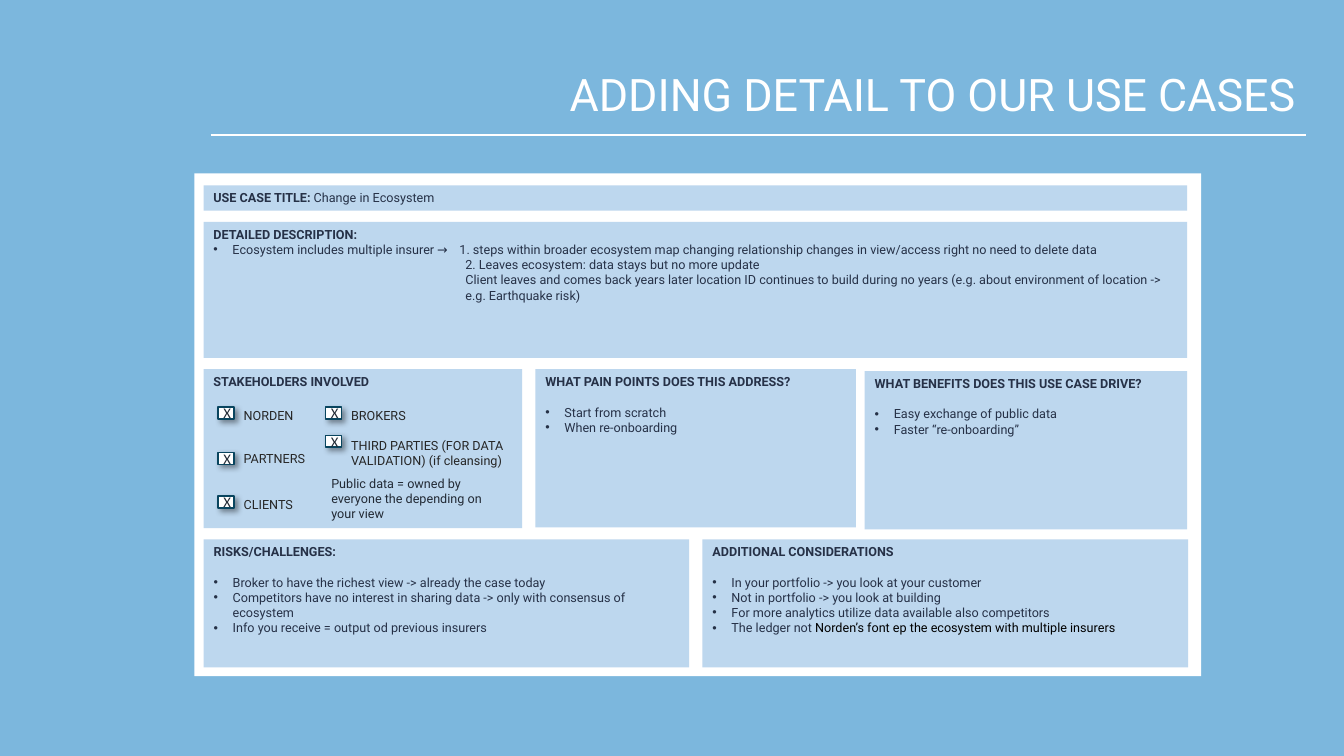
from dataclasses import dataclass

from lxml.etree import SubElement
from pptx import Presentation
from pptx.dml.color import RGBColor
from pptx.enum.shapes import MSO_CONNECTOR as Connector, MSO_SHAPE as Shape
from pptx.enum.text import MSO_ANCHOR as Anchor, MSO_AUTO_SIZE as AutoSize, PP_ALIGN as Align
from pptx.oxml.ns import qn
from pptx.util import Cm, Pt

# Content: each panel is (left, top, width, height) in cm, then its text
TITLE = "ADDING DETAIL TO OUR USE CASES"
CARD = (4.9, 4.37, 25.37, 12.67)
USE_CASE = ((5.13, 4.67, 24.79, 0.64), "USE CASE TITLE: ", "Change in Ecosystem")
DESCRIPTION = (
    (5.13, 5.59, 24.79, 3.43),
    "DETAILED DESCRIPTION:",
    "Ecosystem includes multiple insurer →\t1. steps within broader ecosystem map changing "
    "relationship changes in view/access right no need to delete data",
    ["2. Leaves ecosystem: data stays but no more update",
     "Client leaves and comes back years later location ID continues to build during no years "
     "(e.g. about environment of location -> e.g. Earthquake risk)"],
)
STAKEHOLDERS = ((5.13, 9.3, 8.03, 4.01), "STAKEHOLDERS INVOLVED")
LIST_PANELS = [
    ((13.49, 9.3, 8.08, 3.99), "WHAT PAIN POINTS DOES THIS ADDRESS?",
     ["Start from scratch", "When re-onboarding"]),
    ((21.79, 9.35, 8.13, 3.99), "WHAT BENEFITS DOES THIS USE CASE DRIVE?",
     ["Easy exchange of public data", "Faster “re-onboarding”"]),
    ((5.13, 13.59, 12.24, 3.23), "RISKS/CHALLENGES:",
     ["Broker to have the richest view -> already the case today",
      "Competitors have no interest in sharing data -> only with consensus of ecosystem",
      "Info you receive = output od previous insurers"]),
    ((17.7, 13.59, 12.24, 3.23), "ADDITIONAL CONSIDERATIONS",
     ["In your portfolio -> you look at your customer",
      "Not in portfolio -> you look at building",
      "For more analytics utilize data available also competitors",
      ("The ledger not ", "Norden’s font ep the ecosystem with multiple insurers")]),
]
# Label, checkbox left and top, label top, label width
CHECKS = [
    ("NORDEN", 5.49, 10.26, 10.16, 3.99),
    ("PARTNERS", 5.49, 11.4, 11.23, 3.99),
    ("CLIENTS", 5.49, 12.5, 12.4, 3.99),
    ("BROKERS", 8.2, 10.26, 10.16, 3.99),
    ("THIRD PARTIES (FOR DATA VALIDATION) (if cleansing)", 8.2, 10.97, 10.9, 4.8),
]
NOTE = ((8.1, 11.86, 4.95, 1.42), "Public data = owned by everyone the depending on your view")


@dataclass(frozen=True)
class Theme:
    sky: str = "7CB7DD"
    panel: str = "BDD7EE"
    white: str = "FFFFFF"
    black: str = "000000"
    ink: str = "263147"
    label: str = "262626"
    slate: str = "222A35"
    check: str = "09455F"
    font: str = "Roboto"
    mark_font: str = "Calibri"
    title_size: float = 32
    size: float = 9
    mark_size: float = 10.5
    heading_gap: float = 10.8


theme = Theme()
INDENT = 0.48


def rgb(value):
    return RGBColor.from_string(value)


def add_para(frame, *texts, colors=(theme.ink,), bolds=(False,), size=theme.size,
             font=theme.font, align=Align.LEFT, left=0, bullet=False, tab=None, after=0):
    """Write one paragraph; a format listed once holds for every text."""
    para = frame.add_paragraph() if frame.text else frame.paragraphs[0]
    para.alignment = align
    para.space_before, para.space_after = Pt(0), Pt(after)
    props = para._p.get_or_add_pPr()
    props.set("marL", str(Cm(left)))
    props.set("indent", str(-Cm(left) if bullet else 0))
    if bullet:
        SubElement(props, qn("a:buFont"), typeface="Arial")
        SubElement(props, qn("a:buChar"), char="•")
    else:
        SubElement(props, qn("a:buNone"))
    if tab:
        stops = SubElement(props, qn("a:tabLst"))
        SubElement(stops, qn("a:tab"), pos=str(Cm(tab)), algn="l")
    for number, text in enumerate(texts):
        span = para.add_run()
        span.text = text
        span.font.name, span.font.size = font, Pt(size)
        span.font.bold = bolds[number % len(bolds)]
        span.font.color.rgb = rgb(colors[number % len(colors)])


def place(shape, box):
    shape.left, shape.top, shape.width, shape.height = (Cm(length) for length in box)


def fill(shape, color):
    shape.fill.solid()
    shape.fill.fore_color.rgb = rgb(color)


def prepare(frame, anchor=Anchor.TOP):
    frame.word_wrap, frame.auto_size, frame.vertical_anchor = True, AutoSize.NONE, anchor
    return frame


def add_rect(slide, box, color, line=None):
    shape = slide.shapes.add_shape(Shape.RECTANGLE, *(Cm(length) for length in box))
    fill(shape, color)
    if line:
        shape.line.color.rgb, shape.line.width = rgb(line), Pt(1)
    else:
        shape.line.fill.background()
    shape.shadow.inherit = False
    return shape


def add_label(slide, box, text, **style):
    label = slide.shapes.add_textbox(*(Cm(length) for length in box))
    add_para(prepare(label.text_frame), text, **style)


def add_check(slide, text, left, top, label_top, label_width):
    """Draw a ticked box with a soft shadow and its label."""
    box = add_rect(slide, (left, top, 0.41, 0.3), theme.white, theme.check)
    effects = box._element.spPr.find(qn("a:effectLst"))
    shadow = SubElement(effects, qn("a:outerShdw"), blurRad=str(Pt(4)), dist=str(Pt(3)),
                        dir=str(45 * 60000), algn="tl", rotWithShape="0")
    color = SubElement(shadow, qn("a:srgbClr"), val=theme.black)
    SubElement(color, qn("a:alpha"), val="40000")
    add_label(slide, (left + 0.4, label_top, label_width, 0.64), text, colors=(theme.label,))
    add_label(slide, (left - 0.21, top - 0.2, 0.89, 0.71), "X", colors=(theme.slate,),
              size=theme.mark_size, font=theme.mark_font, align=Align.CENTER)


def main():
    deck = Presentation()
    deck.slide_width, deck.slide_height = Cm(33.87), Cm(19.05)
    page = deck.slides.add_slide(deck.slide_layouts.get_by_name("Comparison"))
    page.background.fill.solid()
    page.background.fill.fore_color.rgb = rgb(theme.sky)

    # Title and rule
    title = page.shapes.title
    place(title, (4.65, 1.55, 28.27, 1.63))
    add_para(prepare(title.text_frame, Anchor.MIDDLE), TITLE, colors=(theme.white,),
             size=theme.title_size, align=Align.RIGHT)
    rule = page.shapes.add_connector(Connector.STRAIGHT, Cm(5.31), Cm(3.4), Cm(32.92), Cm(3.4))
    rule.line.color.rgb, rule.line.width = rgb(theme.white), Pt(1)
    SubElement(rule._element.spPr, qn("a:effectLst"))

    # White card, sent behind the placeholders
    card = add_rect(page, CARD, theme.white)
    page.shapes._spTree.insert(2, card._element)

    # Use case name and description
    box, heading, name = USE_CASE
    frame = prepare(add_rect(page, box, theme.panel).text_frame)
    add_para(frame, heading, name, bolds=(True, False))
    box, heading, first, steps = DESCRIPTION
    frame = prepare(add_rect(page, box, theme.panel).text_frame)
    add_para(frame, heading, bolds=(True,))
    add_para(frame, first, left=INDENT, bullet=True, tab=6.2)
    for step in steps:
        add_para(frame, step, left=6.35)

    # Panels with lists
    bodies = [holder for holder in page.placeholders if holder.placeholder_format.idx in range(1, 5)]
    for body, (box, heading, items) in zip(bodies, LIST_PANELS):
        place(body, box)
        fill(body, theme.panel)
        frame = prepare(body.text_frame)
        add_para(frame, heading, bolds=(True,), after=theme.heading_gap)
        for item in items:
            texts = (item,) if isinstance(item, str) else item
            add_para(frame, *texts, colors=(theme.ink, theme.black), left=INDENT, bullet=True)

    # Stakeholders
    box, heading = STAKEHOLDERS
    add_para(prepare(add_rect(page, box, theme.panel).text_frame), heading, bolds=(True,))
    for check in CHECKS:
        add_check(page, *check)
    add_label(page, *NOTE, colors=(theme.slate,))

    deck.save("out.pptx")


if __name__ == "__main__":
    main()
